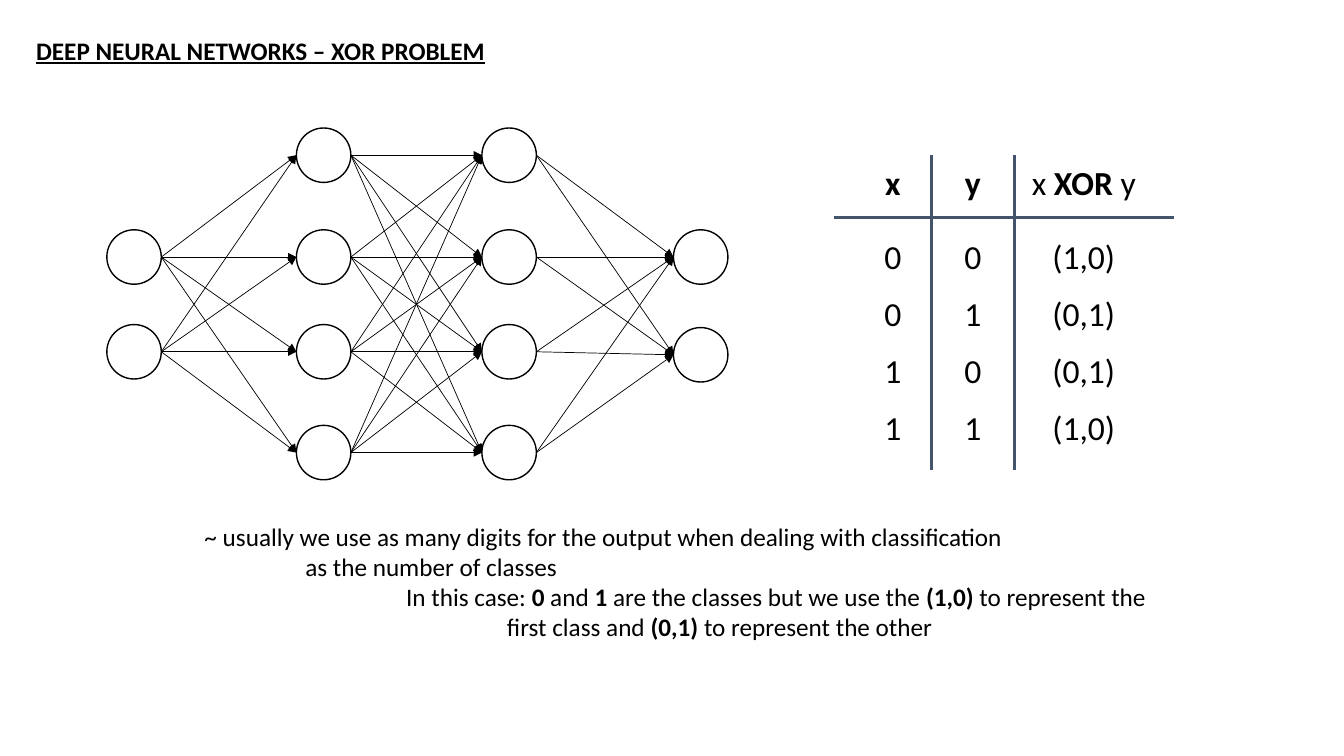
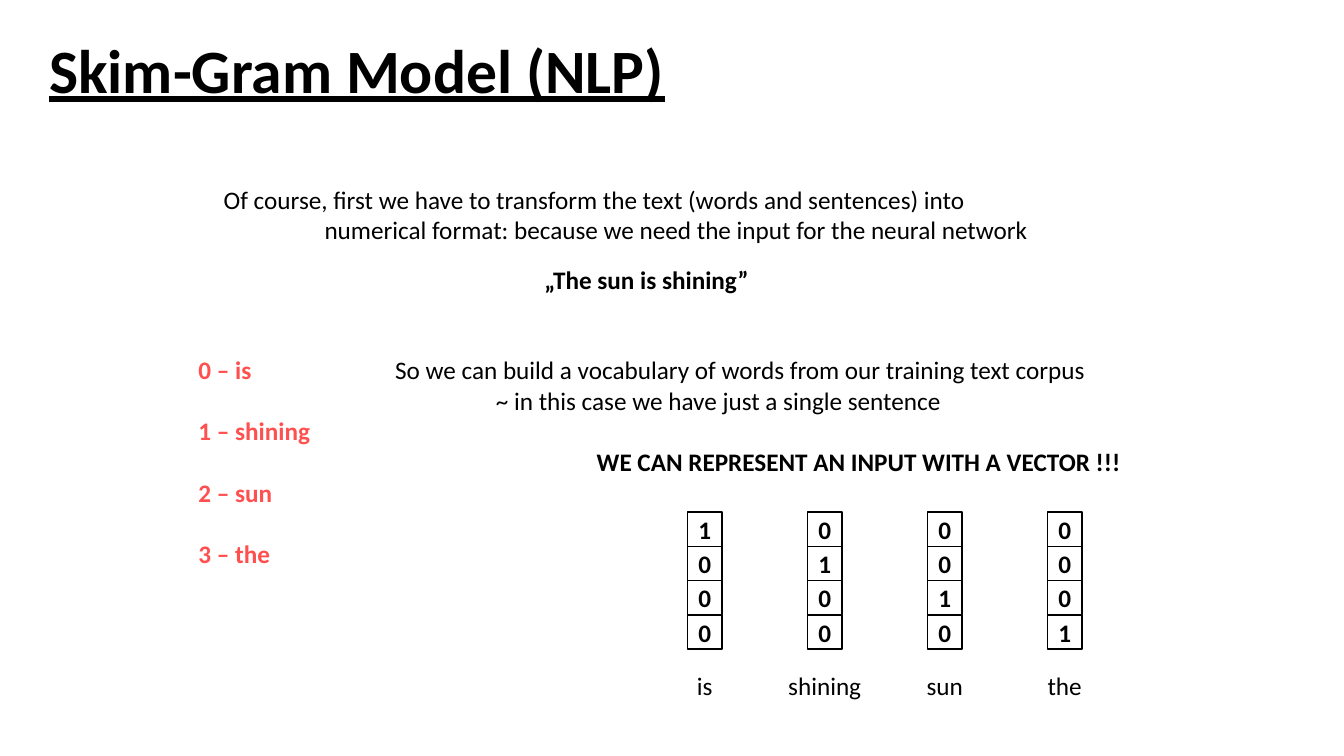
from itertools import pairwise, product

from lxml import etree
from pptx import Presentation
from pptx.dml.color import RGBColor
from pptx.enum.shapes import MSO_CONNECTOR, MSO_SHAPE
from pptx.enum.text import MSO_ANCHOR, MSO_AUTO_SIZE, PP_ALIGN
from pptx.oxml.ns import qn
from pptx.util import Inches, Pt

STRAIGHT = MSO_CONNECTOR.STRAIGHT
OVAL, RECTANGLE = MSO_SHAPE.OVAL, MSO_SHAPE.RECTANGLE
TOP, MIDDLE, BOTTOM = MSO_ANCHOR.TOP, MSO_ANCHOR.MIDDLE, MSO_ANCHOR.BOTTOM
LEFT, CENTER = PP_ALIGN.LEFT, PP_ALIGN.CENTER
GROW = MSO_AUTO_SIZE.SHAPE_TO_FIT_TEXT

FONT = "Calibri"
BLACK, WHITE, RULE, CORAL = "000000", "FFFFFF", "44546A", "FF5050"
BODY, TABLE_TEXT = 18, 24
BLANK_LINE = 22  # points, one body line


def color(hex_text):
    return RGBColor.from_string(hex_text)


def write_spans(para, marked, size=BODY, ink=BLACK, underline=False):
    """Fill a paragraph; text between asterisks is bold."""
    for index, part in enumerate(marked.split("*")):
        if not part:
            continue
        span = para.add_run()
        span.text = part
        span.font.name = FONT
        span.font.size = Pt(size)
        span.font.bold = index % 2 == 1
        span.font.underline = underline
        span.font.color.rgb = color(ink)


def add_text(page, box, lines, size=BODY, ink=BLACK, align=LEFT,
             underline=False):
    """Place lines given as (indent in inches, points before, marked text)."""
    shape = page.shapes.add_textbox(*map(Inches, box))
    frame = shape.text_frame
    frame.word_wrap = False
    frame.auto_size = GROW
    for index, (indent, before, marked) in enumerate(lines):
        para = frame.add_paragraph() if index else frame.paragraphs[0]
        para.alignment = align
        para.space_before = Pt(before)
        para._p.get_or_add_pPr().set("marL", str(Inches(indent)))
        write_spans(para, marked, size, ink, underline)
    return shape


def add_title(page, box, title, size):
    shape = add_text(page, box, [(0, 0, f"*{title}*")], size, underline=True)
    frame = shape.text_frame
    frame.auto_size = MSO_AUTO_SIZE.NONE
    frame.word_wrap = True
    frame.vertical_anchor = MIDDLE
    frame.paragraphs[0].line_spacing = 0.9 if size > BODY else 1.0


def add_outlined(page, kind, box):
    shape = page.shapes.add_shape(kind, *map(Inches, box))
    shape.shadow.inherit = False
    shape.fill.solid()
    shape.fill.fore_color.rgb = color(WHITE)
    shape.line.color.rgb = color(BLACK)
    shape.line.width = Pt(1)
    return shape


def add_arrow(page, start, end):
    arrow = page.shapes.add_connector(STRAIGHT, *map(Inches, start + end))
    arrow.line.color.rgb = color(BLACK)
    arrow.line.width = Pt(0.5)
    etree.SubElement(arrow.line._get_or_add_ln(), qn("a:tailEnd"),
                     type="triangle")
    etree.SubElement(arrow._element.spPr, qn("a:effectLst"))


def add_network(page, left, top):
    """Draw fully connected layers of neurons."""
    size = 0.54
    levels = [0, 1.01, 1.95, 2.95]
    layers = [(0, levels[1:3]), (1.88, levels), (3.72, levels),
              (5.62, [1.01, 1.98])]
    for x, rows in layers:
        for y in rows:
            add_outlined(page, OVAL, (left + x, top + y, size, size))
    for (x, rows), (next_x, next_rows) in pairwise(layers):
        for y, next_y in product(rows, next_rows):
            middle = top + size / 2
            add_arrow(page, (left + x + size, middle + y),
                      (left + next_x, middle + next_y))


def set_borders(cell, ruled):
    """Draw the ruled sides of a cell and blank the others."""
    properties = cell._tc.get_or_add_tcPr()
    for index, side in enumerate(("lnL", "lnR", "lnT", "lnB")):
        border = etree.Element(qn(f"a:{side}"), w=str(Pt(2.25)))
        if side in ruled:
            fill = etree.SubElement(border, qn("a:solidFill"))
            etree.SubElement(fill, qn("a:srgbClr"), val=RULE)
        else:
            etree.SubElement(border, qn("a:noFill"))
        properties.insert(index, border)


def add_truth_table(page, left, top):
    rows = [("*x*", "*y*", "x *XOR *y"), ("0", "0", "(1,0)"),
            ("0", "1", "(0,1)"), ("1", "0", "(0,1)"), ("1", "1", "(1,0)")]
    heights = [0.62, 0.68, 0.56, 0.56, 0.69]
    # Width, left margin and right margin of each column
    columns = [(0.97, 0.2, 0), (0.82, 0, 0), (1.58, 0, 0.2)]
    width = sum(column[0] for column in columns)
    frame = page.shapes.add_table(
        len(rows), len(columns), Inches(left), Inches(top),
        Inches(width), Inches(sum(heights)))
    table = frame.table
    table.first_row = table.horz_banding = False
    for column, (column_width, _, _) in zip(table.columns, columns):
        column.width = Inches(column_width)
    for r, (height, texts) in enumerate(zip(heights, rows)):
        table.rows[r].height = Inches(height)
        for c, marked in enumerate(texts):
            cell = table.cell(r, c)
            cell.margin_left, cell.margin_right = map(Inches, columns[c][1:])
            cell.margin_top = cell.margin_bottom = Inches(0.08)
            cell.vertical_anchor = BOTTOM if r == 1 else TOP
            cell.fill.background()
            ruled = {"lnL"} if c else set()
            if c < len(columns) - 1:
                ruled.add("lnR")
            if r < 2:
                ruled.add("lnT" if r else "lnB")
            set_borders(cell, ruled)
            para = cell.text_frame.paragraphs[0]
            para.alignment = CENTER
            write_spans(para, marked, TABLE_TEXT)


def add_one_hot_vectors(page, left, top, words):
    """Draw one column of cells per word, with the word below it."""
    size, pitch, label_width = 0.34, 1.19, 0.93
    for c, word in enumerate(words):
        x = left + c * pitch
        for r in range(len(words)):
            cell = add_outlined(page, RECTANGLE,
                                (x, top + r * size, size, size))
            frame = cell.text_frame
            frame.margin_left = frame.margin_right = 0
            frame.margin_top = frame.margin_bottom = 0
            frame.vertical_anchor = MIDDLE
            frame.paragraphs[0].alignment = CENTER
            write_spans(frame.paragraphs[0], f"*{int(r == c)}*")
        add_text(page, (x + (size - label_width) / 2, top + 1.52,
                        label_width, 0.4), [(0, 0, word)], align=CENTER)


def build_xor_slide(page):
    add_title(page, (0.26, 0.3, 4.7, 0.4),
              "DEEP NEURAL NETWORKS – XOR PROBLEM", BODY)
    add_network(page, 1.06, 1.27)
    add_truth_table(page, 8.27, 1.54)
    add_text(page, (1.93, 5.12, 9.64, 1.31), [
        (0, 0, "~ usually we use as many digits for the output when dealing "
               "with classification"),
        (1, 0, "as the number of classes"),
        (2, 0, "In this case: *0* and *1* are the classes but we use the "
               "*(1,0) *to represent the"),
        (3, 0, "first class and *(0,1) *to represent the other"),
    ])


def build_skip_gram_slide(page):
    words = ["is", "shining", "sun", "the"]
    add_title(page, (0.39, 0, 11.5, 1.45), "Skim-Gram Model (NLP)", 44)
    # Explanation
    add_text(page, (5.3, 2.57, 2.25, 0.4), [(0, 0, "*„The sun is shining”*")])
    add_text(page, (2.12, 1.78, 8.28, 0.71), [
        (0, 0, "Of course, first we have to transform the text (words and "
               "sentences) into"),
        (1, 0, "numerical format: because we need the input for the neural "
               "network"),
    ])
    # Vocabulary
    add_text(page, (1.87, 3.47, 1.32, 2.22),
             [(0, BLANK_LINE if index else 0, f"*{index} – {word}*")
              for index, word in enumerate(words)], ink=CORAL)
    add_text(page, (3.82, 3.47, 7.47, 1.31), [
        (0, 0, "So we can build a vocabulary of words from our training text "
               "corpus"),
        (1, 0, "~ in this case we have just a single sentence"),
        (2, BLANK_LINE, "*WE CAN REPRESENT AN INPUT WITH A VECTOR !!!*"),
    ])
    add_one_hot_vectors(page, 6.82, 5.08, words)


def main():
    deck = Presentation()
    deck.slide_width, deck.slide_height = Inches(13.33), Inches(7.5)
    blank = deck.slide_layouts[6]
    for build in (build_xor_slide, build_skip_gram_slide):
        build(deck.slides.add_slide(blank))
    deck.save("out.pptx")


if __name__ == "__main__":
    main()
